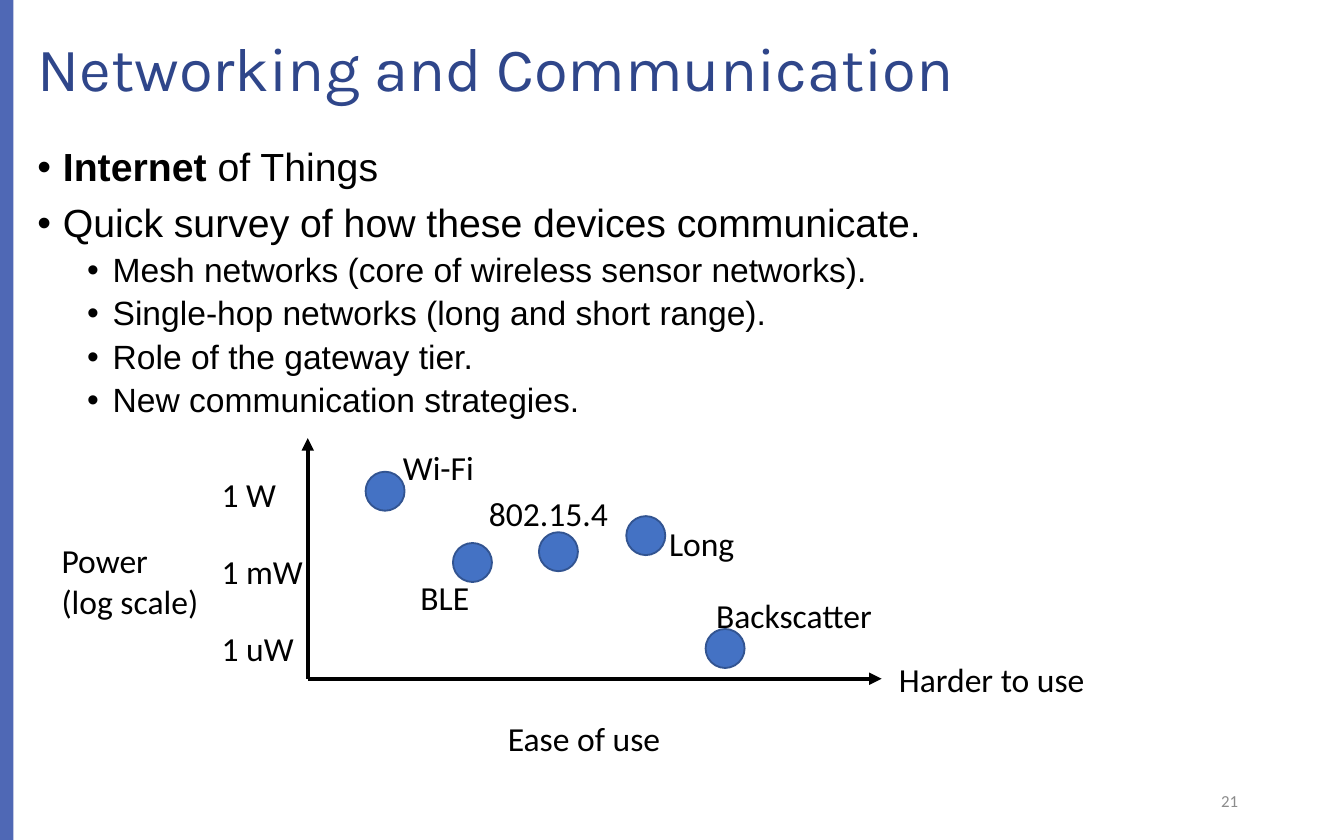
from pptx import Presentation
from pptx.dml.color import RGBColor
from pptx.enum.shapes import MSO_CONNECTOR, MSO_SHAPE
from pptx.enum.text import MSO_ANCHOR, PP_ALIGN
from pptx.oxml.ns import qn
from pptx.util import Inches, Pt
from lxml import etree

RECT, OVAL = MSO_SHAPE.RECTANGLE, MSO_SHAPE.OVAL
LINE = MSO_CONNECTOR.STRAIGHT
MIDDLE = MSO_ANCHOR.MIDDLE
LEFT, RIGHT = PP_ALIGN.LEFT, PP_ALIGN.RIGHT

WIDTH, HEIGHT = 10, 6.25
MARGIN, SPAN = 0.18, 9.71
ORIGIN = (2.29, 5.05)
DOT = 0.29
ROW = 0.4

BULLETS = [
    (0, [("Internet", True), (" of Things", False)]),
    (0, [("Quick survey of how these devices communicate.", False)]),
    (1, [("Mesh networks (core of wireless sensor networks).", False)]),
    (1, [("Single-hop networks (long and short range).", False)]),
    (1, [("Role of the gateway tier.", False)]),
    (1, [("New communication strategies.", False)]),
]
# size, space before, left margin of each bullet level
LEVELS = [(21, 7.5, 0.19), (18, 3.8, 0.56)]

# name, dot left and top, label left, top and width
RADIOS = [
    ("Wi-Fi", (2.72, 3.51), (2.9, 3.28, 0.73)),
    ("BLE", (3.37, 4.04), (3.03, 4.24, 0.57)),
    ("802.15.4", (4.01, 3.96), (3.54, 3.62, 1.1)),
    ("Long", (4.66, 3.84), (4.88, 3.84, 0.7)),
    ("Backscatter", (5.25, 4.68), (5.23, 4.38, 1.38)),
]
POWERS = [("1 W", 0.61), ("1 mW", 0.81), ("1 uW", 0.75)]


def color(code):
    return RGBColor.from_string(code)


def style(para, size, face, code):
    para.font.size = Pt(size)
    para.font.name = face
    para.font.color.rgb = color(code)


def add_shape(slide, kind, box, fill):
    shape = slide.shapes.add_shape(kind, *map(Inches, box))
    shape.shadow.inherit = False
    shape.fill.solid()
    shape.fill.fore_color.rgb = color(fill)
    return shape


def add_bar(slide):
    bar = add_shape(slide, RECT, (0, 0, WIDTH / 100, HEIGHT), "3C58AD")
    bar.line.fill.background()
    tint = bar.fill._xPr.find(qn("a:solidFill"))[0]
    etree.SubElement(tint, qn("a:alpha"), val="90000")


def add_title(slide, text):
    title = slide.shapes.title
    title.left, title.top = Inches(MARGIN), Inches(0.1)
    title.width, title.height = Inches(SPAN), Inches(0.86)
    title.text_frame.text = text
    title.text_frame.vertical_anchor = MIDDLE
    para = title.text_frame.paragraphs[0]
    para.alignment = LEFT
    para.line_spacing = 0.9
    style(para, 33, "Karla", "2F468A")


def add_bullets(slide, items):
    box = slide.shapes.add_textbox(*map(Inches, (MARGIN, 1.05, SPAN, 2.21)))
    frame = box.text_frame
    frame.word_wrap = True
    for i, (level, runs) in enumerate(items):
        para = frame.add_paragraph() if i else frame.paragraphs[0]
        size, gap, indent = LEVELS[level]
        para.level = level
        para.line_spacing = 0.9
        if i:
            para.space_before = Pt(gap)
        props = para._p.get_or_add_pPr()
        props.set("marL", str(Inches(indent)))
        props.set("indent", str(-Inches(0.19)))
        etree.SubElement(props, qn("a:buFont"), typeface="Arial")
        etree.SubElement(props, qn("a:buChar"), char="•")
        style(para, size, "Arial", "000000")
        for text, bold in runs:
            run = para.add_run()
            run.text = text
            if bold:
                run.font.bold = True


def add_label(slide, text, left, top, width, height=ROW):
    box = slide.shapes.add_textbox(*map(Inches, (left, top, width, height)))
    box.text_frame.word_wrap = False
    box.text_frame.text = text
    style(box.text_frame.paragraphs[0], 18, "Calibri", "000000")
    return box


def add_axis(slide, end):
    axis = slide.shapes.add_connector(LINE, *map(Inches, ORIGIN + end))
    axis.line.color.rgb = color("000000")
    axis.line.width = Pt(2.25)
    etree.SubElement(axis.line._get_or_add_ln(), qn("a:tailEnd"),
                     type="triangle")
    etree.SubElement(axis._element.spPr, qn("a:effectLst"))


def add_dot(slide, left, top):
    dot = add_shape(slide, OVAL, (left, top, DOT, DOT), "4472C4")
    dot.line.color.rgb = color("325491")
    dot.line.width = Pt(1)


def add_chart(slide):
    """Draw power against ease of use for each radio."""
    add_axis(slide, (ORIGIN[0], 3.26))
    add_axis(slide, (6.56, ORIGIN[1]))
    add_label(slide, "Power\v(log scale)", 0.36, 3.97, 1.23, 0.71)
    add_label(slide, "Ease of use", 3.68, 5.29, 1.35)
    add_label(slide, "Harder to use", 6.59, 4.85, 1.6)
    for i, (text, width) in enumerate(POWERS):
        add_label(slide, text, 1.55, 3.48 + 0.57 * i, width)
    for _, spot, _ in RADIOS:
        add_dot(slide, *spot)
    for name, _, place in RADIOS:
        add_label(slide, name, *place)


def add_number(slide, text):
    box = slide.shapes.add_textbox(*map(Inches, (7.06, 5.79, 2.25, 0.33)))
    box.text_frame.word_wrap = True
    box.text_frame.vertical_anchor = MIDDLE
    box.text_frame.text = text
    para = box.text_frame.paragraphs[0]
    para.alignment = RIGHT
    style(para, 9, "Calibri", "8C8C8C")


def main():
    deck = Presentation()
    deck.slide_width, deck.slide_height = Inches(WIDTH), Inches(HEIGHT)
    slide = deck.slides.add_slide(deck.slide_layouts[5])
    add_bar(slide)
    add_title(slide, "Networking and Communication")
    add_bullets(slide, BULLETS)
    add_number(slide, "21")
    add_chart(slide)
    deck.save("out.pptx")


if __name__ == "__main__":
    main()
